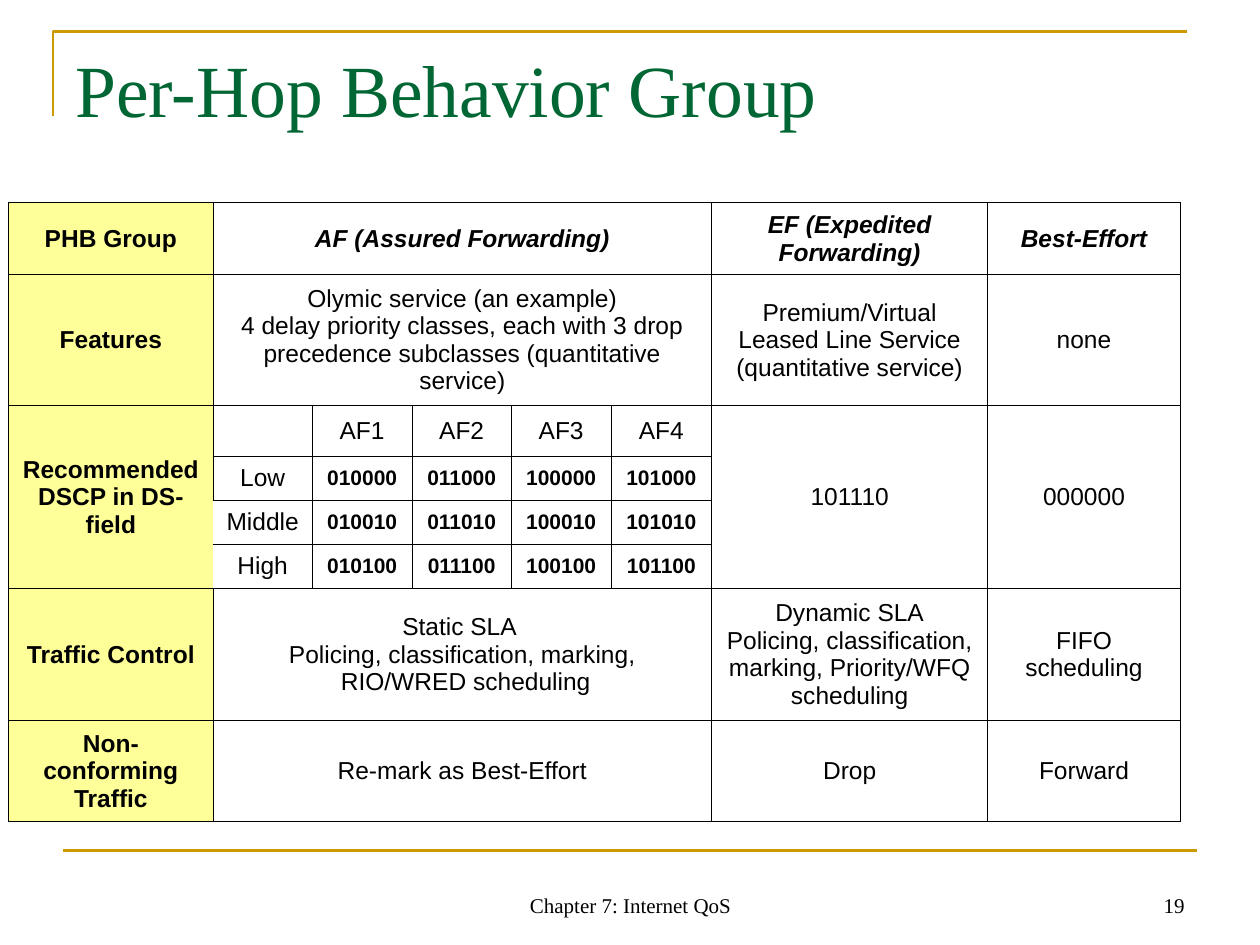
import pptx
import pptx.dml.color
import pptx.enum.shapes
import pptx.enum.text
import pptx.oxml
import pptx.oxml.ns
import pptx.util
from pptx.util import Inches

ALIGN = pptx.enum.text.PP_ALIGN
ANCHOR = pptx.enum.text.MSO_ANCHOR
GOLD, GREEN, BLACK, YELLOW = "CC9900", "006633", "000000", "FFFF99"
SERIF, SANS = "Times New Roman", "Arial"

COLUMN_WIDTHS = [1.62, 0.79, 0.79, 0.79, 0.79, 0.8, 2.19, 1.53]
ROW_HEIGHTS = [0.57, 1.04, 0.38, 0.35, 0.35, 0.35, 1.05, 0.8]
CODE_ROWS = range(2, 6)
CODE_COLUMNS = range(1, 6)

# Rows that span the code columns: heading, AF, EF, best effort
WIDE_ROWS = {
    0: ["PHB Group", "AF (Assured Forwarding)", "EF (Expedited Forwarding)", "Best-Effort"],
    1: ["Features",
        "Olymic service (an example)\n4 delay priority classes, each with 3 drop "
        "precedence subclasses (quantitative service)",
        "Premium/Virtual Leased Line Service (quantitative service)", "none"],
    6: ["Traffic Control",
        "Static SLA \nPolicing, classification, marking,\n RIO/WRED scheduling",
        "Dynamic SLA\nPolicing, classification, marking, Priority/WFQ scheduling",
        "FIFO scheduling"],
    7: ["Non-conforming\nTraffic", "Re-mark as Best-Effort", "Drop", "Forward"],
}
# Cells that span all the code rows, by column
TALL_CELLS = {0: "Recommended\nDSCP in DS-field", 6: "101110", 7: "000000"}
CODE_GRID = [
    ["", "AF1", "AF2", "AF3", "AF4"],
    ["Low", "010000", "011000", "100000", "101000"],
    ["Middle", "010010", "011010", "100010", "101010"],
    ["High", "010100", "011100", "100100", "101100"],
]


def rgb(value):
    return pptx.dml.color.RGBColor.from_string(value)


def style_paragraph(para, size, font, color=BLACK, align=ALIGN.LEFT, bold=False, italic=False):
    para.alignment = align
    para.font.size = pptx.util.Pt(size)
    para.font.name = font
    para.font.color.rgb = rgb(color)
    para.font.bold = bold
    para.font.italic = italic


def add_text(page, left, top, width, height, text, size, color=BLACK,
             align=ALIGN.LEFT, anchor=ANCHOR.BOTTOM):
    box = page.shapes.add_textbox(Inches(left), Inches(top), Inches(width), Inches(height))
    frame = box.text_frame
    frame.word_wrap = True
    frame.vertical_anchor = anchor
    para = frame.paragraphs[0]
    para.text = text
    style_paragraph(para, size, SERIF, color, align)


def style_line(shape):
    shape.line.color.rgb = rgb(GOLD)
    shape.line.width = pptx.util.Pt(1.5)


def add_frame_lines(page, left, top, width, height):
    # Corner bracket above the title
    builder = page.shapes.build_freeform(Inches(left), Inches(top + height))
    builder.add_line_segments(
        [(Inches(left), Inches(top)), (Inches(left + width), Inches(top))], close=False)
    bracket = builder.convert_to_shape()
    bracket.fill.background()
    bracket.shadow.inherit = False
    style_line(bracket)

    # Rule above the footer
    rule = page.shapes.add_connector(
        pptx.enum.shapes.MSO_CONNECTOR.STRAIGHT,
        Inches(0.5), Inches(6.75), Inches(0.5 + width), Inches(6.75))
    style_line(rule)
    rule._element.spPr.append(pptx.oxml.parse_xml(
        f"<a:effectLst {pptx.oxml.ns.nsdecls('a')}/>"))


def set_borders(cell, hidden_side):
    properties = cell._tc.get_or_add_tcPr()
    for side in "LRTB":
        paint = ("<a:noFill/>" if side == hidden_side else
                 f'<a:solidFill><a:srgbClr val="{BLACK}"/></a:solidFill>')
        properties.append(pptx.oxml.parse_xml(
            f'<a:ln{side} {pptx.oxml.ns.nsdecls("a")} w="{pptx.util.Pt(0.45)}">{paint}</a:ln{side}>'))


def fill_cell(cell, row, column, text):
    cell.vertical_anchor = ANCHOR.MIDDLE
    is_code = row in CODE_ROWS[1:] and column in CODE_COLUMNS[1:]
    if text:
        para = cell.text_frame.paragraphs[0]
        para.text = text
        style_paragraph(para, 12 if is_code else 14, SANS, align=ALIGN.CENTER,
                        bold=row == 0 or column == 0 or is_code,
                        italic=row == 0 and column > 0)


def add_behavior_table(page, left, top):
    table = page.shapes.add_table(
        len(ROW_HEIGHTS), len(COLUMN_WIDTHS), Inches(left), Inches(top),
        Inches(sum(COLUMN_WIDTHS)), Inches(sum(ROW_HEIGHTS))).table
    table.first_row = table.horz_banding = False
    for column, width in zip(table.columns, COLUMN_WIDTHS):
        column.width = Inches(width)
    for row, height in zip(table.rows, ROW_HEIGHTS):
        row.height = Inches(height)

    # Borders and fills; the heading edge is open beside the last two code rows
    for row in range(len(ROW_HEIGHTS)):
        for column in range(len(COLUMN_WIDTHS)):
            cell = table.cell(row, column)
            hidden_side = {0: "R", 1: "L"}.get(column) if row in CODE_ROWS[2:] else None
            set_borders(cell, hidden_side)
            if column == 0:
                cell.fill.solid()
                cell.fill.fore_color.rgb = rgb(YELLOW)
            else:
                cell.fill.background()

    # Merged cells and their text
    for row, texts in WIDE_ROWS.items():
        table.cell(row, CODE_COLUMNS[0]).merge(table.cell(row, CODE_COLUMNS[-1]))
        for column, text in zip([0, 1, 6, 7], texts):
            fill_cell(table.cell(row, column), row, column, text)
    for column, text in TALL_CELLS.items():
        table.cell(CODE_ROWS[0], column).merge(table.cell(CODE_ROWS[-1], column))
        fill_cell(table.cell(CODE_ROWS[0], column), CODE_ROWS[0], column, text)

    # Code points by class and drop precedence
    for row, texts in zip(CODE_ROWS, CODE_GRID):
        for column, text in zip(CODE_COLUMNS, texts):
            fill_cell(table.cell(row, column), row, column, text)


def add_footer(page, top, height):
    add_text(page, 3.42, top, 3.17, height, "Chapter 7: Internet QoS", 12, align=ALIGN.CENTER)
    add_text(page, 7.17, top, 2.33, height, "19", 12, align=ALIGN.RIGHT)


def main():
    deck = pptx.Presentation()
    deck.slide_width, deck.slide_height = Inches(10), Inches(7.5)
    page = deck.slides.add_slide(deck.slide_layouts[6])
    add_frame_lines(page, 0.42, 0.25, 9, 0.67)
    add_text(page, 0.5, 0.3, 9, 1.25, "Per-Hop Behavior Group", 42, GREEN, anchor=ANCHOR.TOP)
    add_behavior_table(page, 0.07, 1.61)
    add_footer(page, 6.83, 0.5)
    deck.save("out.pptx")


if __name__ == "__main__":
    main()
